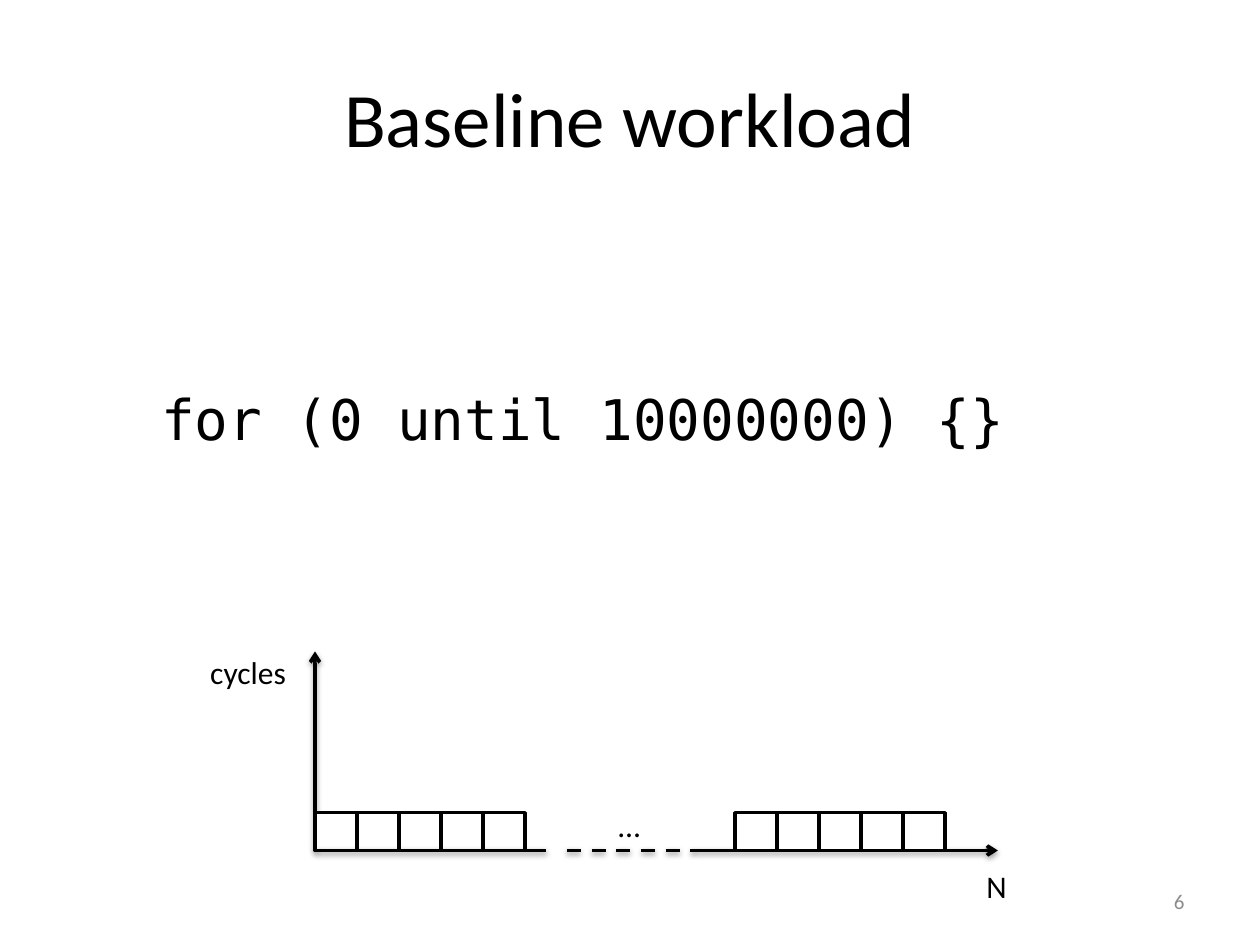
from lxml import etree
from pptx import Presentation
from pptx.dml.color import RGBColor
from pptx.enum.dml import MSO_LINE as Dash
from pptx.enum.shapes import MSO_CONNECTOR as Link, MSO_SHAPE as Shape
from pptx.enum.text import MSO_ANCHOR as Anchor, PP_ALIGN as Align
from pptx.oxml import parse_xml
from pptx.oxml.ns import nsdecls, qn
from pptx.util import Inches, Pt

BLACK = RGBColor(0, 0, 0)
WHITE = RGBColor(255, 255, 255)
GRAY = RGBColor(0x8C, 0x8C, 0x8C)
SANS = "Calibri"
MONO = "DejaVu Sans Mono"
SHADE = (
    f'<a:effectLst {nsdecls("a")}>'
    '<a:outerShdw blurRad="40000" dist="20000" dir="5400000" rotWithShape="0">'
    '<a:srgbClr val="000000"><a:alpha val="38000"/></a:srgbClr>'
    '</a:outerShdw></a:effectLst>'
)


def add_text(slide, box, text, size, font=SANS, color=BLACK,
             align=Align.LEFT, anchor=Anchor.TOP, wrap=False):
    """Place one line of text in a box given in inches."""
    frame = slide.shapes.add_textbox(*map(Inches, box)).text_frame
    frame.word_wrap = wrap
    frame.vertical_anchor = anchor
    para = frame.paragraphs[0]
    para.alignment = align
    run = para.add_run()
    run.text = text
    run.font.size = Pt(size)
    run.font.name = font
    run.font.color.rgb = color


def add_line(slide, start, end, arrow=False, dash=None):
    """Draw a shadowed axis line between two points in inches."""
    line = slide.shapes.add_connector(
        Link.STRAIGHT, *map(Inches, (*start, *end)))
    line.line.color.rgb = BLACK
    line.line.width = Pt(2)
    if dash:
        line.line.dash_style = dash
    if arrow:
        tail = etree.SubElement(line.line._get_or_add_ln(), qn("a:tailEnd"))
        tail.set("type", "arrow")
    line._element.spPr.append(parse_xml(SHADE))


def add_bars(slide, box, count=5):
    """Fill a box with a row of equal bars."""
    left, top, width, height = box
    step = width / count
    for i in range(count):
        bar = slide.shapes.add_shape(Shape.RECTANGLE, *map(
            Inches, (left + i * step, top, step, height)))
        bar.shadow.inherit = False
        bar.fill.solid()
        bar.fill.fore_color.rgb = WHITE
        bar.line.color.rgb = BLACK
        bar.line.width = Pt(2)


def add_plot(slide, box):
    """Draw the cycles plot with its broken axis and labels."""
    left, top, width, height = box
    base, right = top + height, left + width
    cut, gap, back = left + 11 / 6, left + 2, left + 3
    add_line(slide, (back, base), (right, base), arrow=True)
    add_line(slide, (left, base), (left, top), arrow=True)
    for start in (left, left + 10 / 3):
        add_bars(slide, (start, base - 0.3, 5 / 3, 0.3))
    add_line(slide, (left, base), (cut, base))
    add_line(slide, (gap, base), (back, base), dash=Dash.DASH)
    add_text(slide, (gap + 0.31, base - 0.4, 0.38, 0.4), "…", 18)
    add_text(slide, (right - 0.19, base + 0.08, 0.36, 0.4), "N", 18)
    add_text(slide, (left - 0.93, top - 0.04, 0.81, 0.4), "cycles", 18)


def main():
    """Build the slide and save it."""
    deck = Presentation()
    deck.slide_width, deck.slide_height = Inches(10), Inches(7.5)
    slide = deck.slides.add_slide(deck.slide_layouts[6])
    add_text(slide, (0.5, 0.3, 9, 1.25), "Baseline workload", 44,
             align=Align.CENTER, anchor=Anchor.MIDDLE, wrap=True)
    add_text(slide, (1.18, 3, 6.95, 0.64), "for (0 until 10000000) {}", 32,
             font=MONO)
    add_plot(slide, (2.5, 5.17, 5.42, 1.58))
    add_text(slide, (7.17, 6.95, 2.33, 0.4), "6", 12, color=GRAY,
             align=Align.RIGHT, anchor=Anchor.MIDDLE, wrap=True)
    deck.save("out.pptx")


if __name__ == "__main__":
    main()
